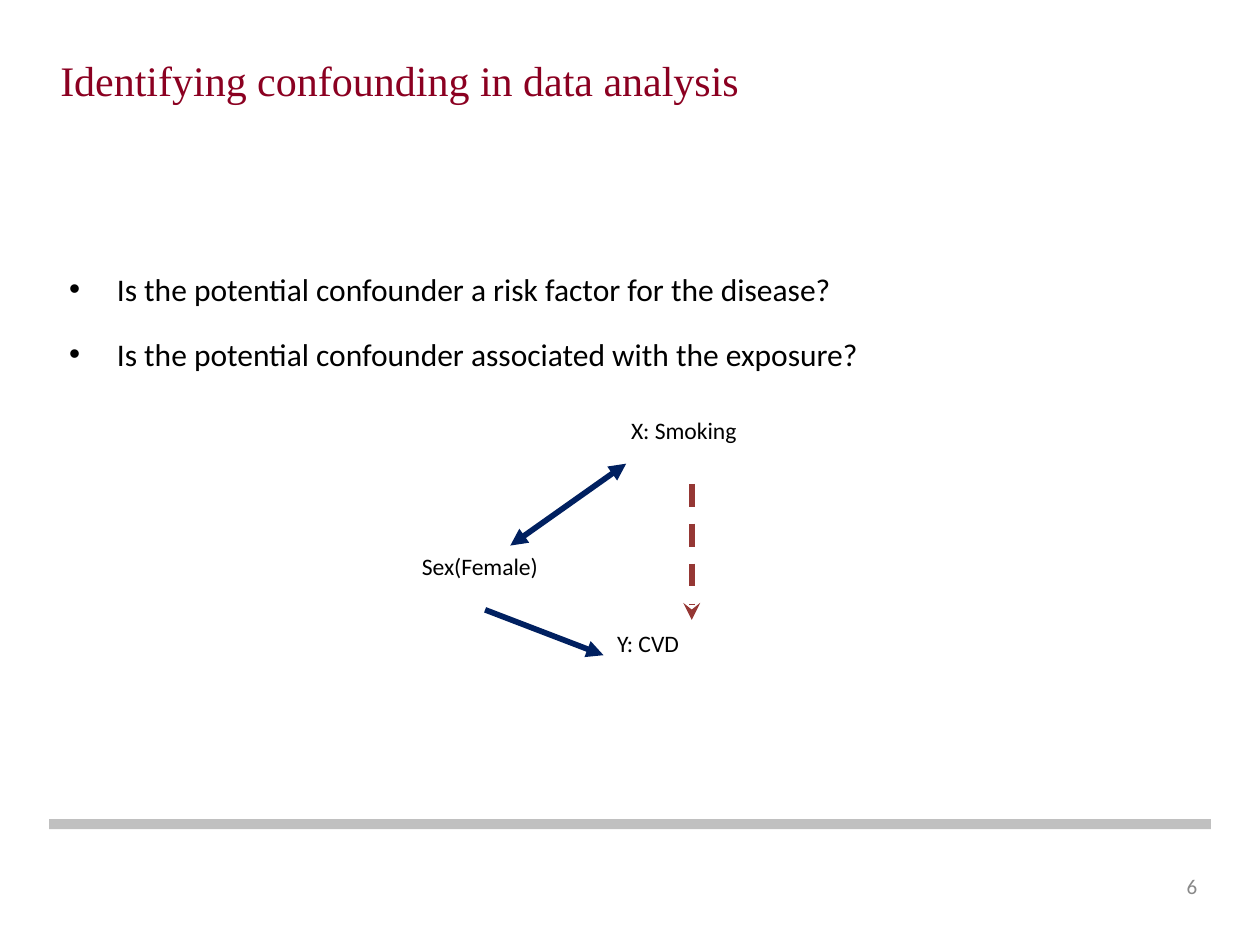
import pptx
import pptx.dml.color
import pptx.enum.dml
import pptx.enum.shapes
import pptx.enum.text
import pptx.oxml.ns
import pptx.util
from lxml import etree

Inches = pptx.util.Inches
Pt = pptx.util.Pt
qn = pptx.oxml.ns.qn

COLOURS = {
    "title": "8B0021",
    "text": "000000",
    "rule": "C0C0C0",
    "number": "898989",
    "known": "002060",
    "studied": "953734",
}
HANGING = 0.38


def colour(name):
    return pptx.dml.color.RGBColor.from_string(COLOURS[name])


def add_text(page, box, lines, size, tint="text", font="Calibri"):
    """Add a text box with one paragraph per line and return its frame."""
    frame = page.shapes.add_textbox(*map(Inches, box)).text_frame
    frame.word_wrap = True
    frame.text = "\n".join(lines)
    for para in frame.paragraphs:
        for span in para.runs:
            span.font.size = Pt(size)
            span.font.name = font
            span.font.color.rgb = colour(tint)
    return frame


def hang(para, bullet=None):
    """Give a paragraph a hanging indent and, if asked, a bullet."""
    properties = para._p.get_or_add_pPr()
    properties.set("marL", str(Inches(HANGING)))
    properties.set("indent", str(-Inches(HANGING)))
    if bullet:
        etree.SubElement(properties, qn("a:buFont")).set("typeface", "Arial")
        etree.SubElement(properties, qn("a:buChar")).set("char", bullet)


def add_title(page, box):
    frame = add_text(page, box, ["Identifying confounding in data analysis"],
                     24, "title", "Times New Roman")
    hang(frame.paragraphs[0])


def add_questions(page, box):
    frame = add_text(page, box, [
        "Is the potential confounder a risk factor for the disease?",
        "Is the potential confounder associated with the exposure?",
    ], 18)
    for para in frame.paragraphs:
        hang(para, "•")
    frame.paragraphs[1].space_before = Pt(15.6)


def add_arrow(page, start, end, tint, head=None, tail=None, dash=None):
    arrow = page.shapes.add_connector(
        pptx.enum.shapes.MSO_CONNECTOR.STRAIGHT,
        *map(Inches, (*start, *end)))
    arrow.line.color.rgb = colour(tint)
    arrow.line.width = Pt(3.25)
    if dash:
        arrow.line.dash_style = dash
    outline = arrow.line._get_or_add_ln()
    for tag, kind in (("a:headEnd", head), ("a:tailEnd", tail)):
        if kind:
            etree.SubElement(outline, qn(tag)).set("type", kind)
    etree.SubElement(arrow._element.spPr, qn("a:effectLst"))


def add_causal_diagram(page, box):
    left, top, width, height = box
    right, bottom = left + width, top + height
    label_height = 0.33

    for label, x, y, label_width in (
        ("X: Smoking", left + 1.66, top, 2.11),
        ("Y: CVD", left + 1.55, bottom - label_height, 2.15),
        ("Sex(Female)", left, top + 1.08, 1.31),
    ):
        add_text(page, (x, y, label_width, label_height), [label], 13.5)

    add_arrow(page, (left + 1.72, top + 0.43), (left + 0.8, top + 1.08),
              "known", head="triangle", tail="triangle")
    add_arrow(page, (left + 0.6, top + 1.59), (left + 1.54, top + 1.95),
              "known", tail="triangle")
    exposure_x = right - 1.53
    add_arrow(page, (exposure_x, top + 0.59), (exposure_x, top + 1.67),
              "studied", tail="stealth",
              dash=pptx.enum.dml.MSO_LINE.DASH)


def add_footer(page, box):
    left, top, width, height = box
    rule = page.shapes.add_shape(
        pptx.enum.shapes.MSO_SHAPE.RECTANGLE,
        *map(Inches, (left, top, width, 0.08)))
    rule.shadow.inherit = False
    rule.fill.solid()
    rule.fill.fore_color.rgb = colour("rule")
    rule.line.fill.background()

    number_box = (left + width - 0.43, top + height - 0.4, 0.42, 0.4)
    frame = add_text(page, number_box, ["6"], 12, "number")
    frame.vertical_anchor = pptx.enum.text.MSO_ANCHOR.MIDDLE
    frame.paragraphs[0].alignment = pptx.enum.text.PP_ALIGN.RIGHT


def main():
    deck = pptx.Presentation()
    deck.slide_width = Inches(10)
    deck.slide_height = Inches(7.5)
    page = deck.slides.add_slide(deck.slide_layouts[6])
    add_footer(page, (0.39, 6.5, 9.22, 0.73))
    add_title(page, (0.38, 0.38, 7.62, 0.61))
    add_questions(page, (0.45, 2.09, 9.16, 3.6))
    add_causal_diagram(page, (3.25, 3.25, 3.77, 2.02))
    deck.save("out.pptx")


if __name__ == "__main__":
    main()
